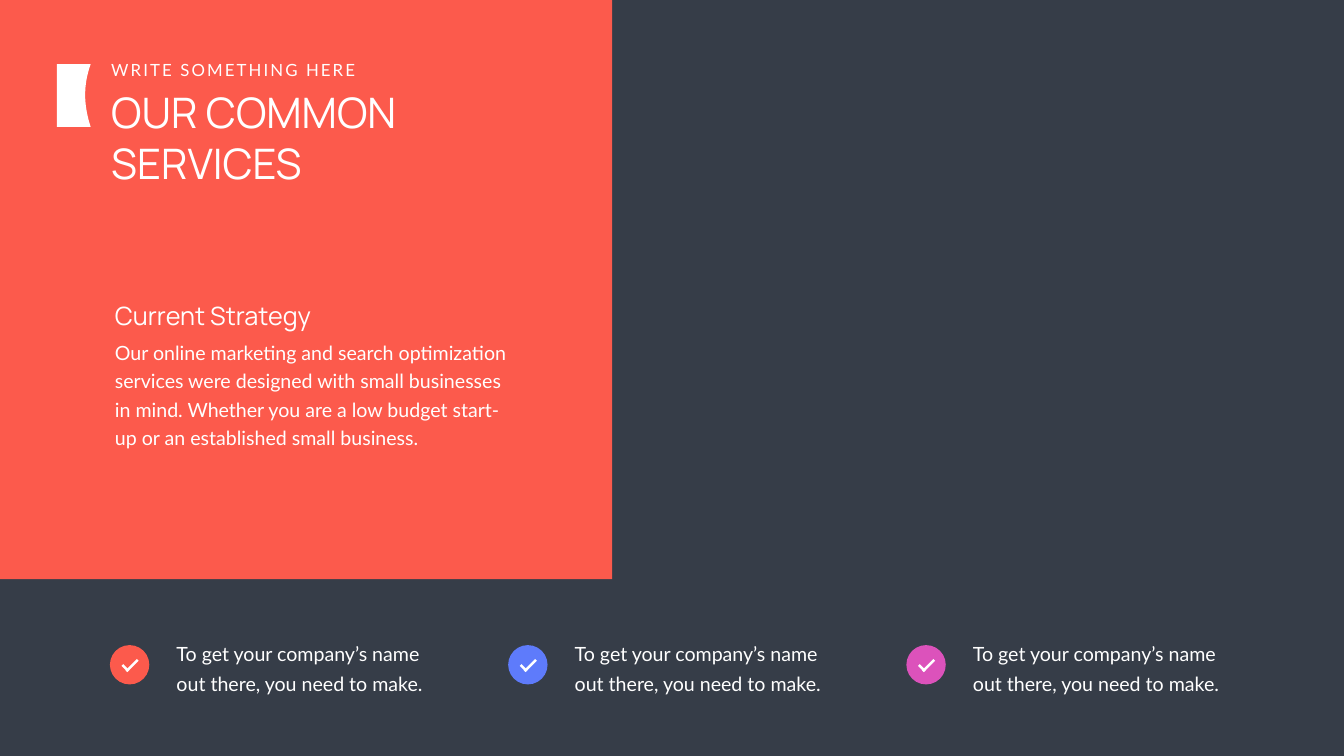
from pptx import Presentation
from pptx.dml.color import RGBColor
from pptx.enum.shapes import MSO_SHAPE
from pptx.enum.text import MSO_AUTO_SIZE
from pptx.util import Inches, Pt

RECT, OVAL = MSO_SHAPE.RECTANGLE, MSO_SHAPE.OVAL
GROW = MSO_AUTO_SIZE.SHAPE_TO_FIT_TEXT
WHITE, CORAL, BLUE, PINK, SLATE = "FFFFFF", "FC5A4C", "5E7BFB", "DC52BB", "363D48"

prs = Presentation()
prs.slide_width, prs.slide_height = Inches(26.66), Inches(15)
# Lengths are percentages of the slide: columns across, rows down
COL, ROW = prs.slide_width / 100, prs.slide_height / 100
s = prs.slides.add_slide(prs.slide_layouts[6])
s.background.fill.solid()
s.background.fill.fore_color.rgb = RGBColor.from_string(SLATE)


def add_block(kind, x, y, w, h, color, rotation=0):
    sp = s.shapes.add_shape(kind, int(x * COL), int(y * ROW), int(w * COL), int(h * ROW))
    sp.shadow.inherit = False
    sp.fill.solid()
    sp.fill.fore_color.rgb = RGBColor.from_string(color)
    sp.line.fill.background()
    sp.rotation = rotation


def add_text(x, y, w, h, text, font, size, wrap=True, leading=None, spacing=0, inset=(0.1, 0.05)):
    sp = s.shapes.add_textbox(int(x * COL), int(y * ROW), int(w * COL), int(h * ROW))
    tf = sp.text_frame
    side, end = Inches(inset[0]), Inches(inset[1])
    frame = {"word_wrap": wrap, "auto_size": GROW, "margin_left": side,
             "margin_right": side, "margin_top": end, "margin_bottom": end}
    for name, value in frame.items():
        setattr(tf, name, value)
    p = tf.paragraphs[0]
    if leading:
        p.line_spacing = Pt(leading)
    r = p.add_run()
    r.text = text
    for name, value in {"name": font, "size": Pt(size)}.items():
        setattr(r.font, name, value)
    r.font.color.rgb = RGBColor.from_string(WHITE)
    if spacing:
        r.font._element.set("spc", str(spacing * 100))


# Coral panel with heading
add_block(RECT, 0, 0, 45.54, 76.6, CORAL)
add_text(7.91, 11.13, 26.59, 14.13, "OUR COMMON SERVICES", "Manrope", 60)
add_text(7.91, 7.53, 19.28, 3.33, "WRITE SOMETHING HERE", "Lato", 24, wrap=False, spacing=3)

# White marker whose right side is a Bezier curve
curve = [(6.75, 8.47), (6.3, 10.73), (6.11, 13.33), (6.75, 16.8)]
points = []
for step in range(21):
    t = step / 20
    weights = [(1 - t) ** 3, 3 * t * (1 - t) ** 2, 3 * t ** 2 * (1 - t), t ** 3]
    points.append((sum(k * x for k, (x, y) in zip(weights, curve)) * COL,
                   sum(k * y for k, (x, y) in zip(weights, curve)) * ROW))
builder = s.shapes.build_freeform(int(4.24 * COL), int(8.47 * ROW))
builder.add_line_segments(points + [(4.24 * COL, 16.8 * ROW)], close=True)
marker = builder.convert_to_shape()
marker.shadow.inherit = False
marker.fill.solid()
marker.fill.fore_color.rgb = RGBColor.from_string(WHITE)
marker.line.fill.background()

# Strategy text
add_text(8.18, 44.07, 30.12, 15.6,
         "Our online marketing and search optimization services were designed with small "
         "businesses in mind. Whether you are a low budget start-up or an established "
         "small business.", "Lato", 28, leading=40.8)
add_text(8.18, 39.33, 16.62, 4.73, "Current Strategy", "Manrope", 36, wrap=False)

# Three checked points
for i, color in enumerate([CORAL, BLUE, PINK]):
    x = 8.18 + i * 29.63
    add_text(x + 4.05, 83.2, 20.33, 9.27,
             "To get your company’s name out there, you need to make.",
             "Lato", 28, leading=43, inset=(0.24, 0.12))
    add_block(OVAL, x, 85.33, 2.93, 5.2, color)
    add_block(RECT, x + 0.83, 88.2, 0.64, 0.33, WHITE, 45)
    add_block(RECT, x + 1.05, 87.87, 1.2, 0.33, WHITE, 315)

prs.save("out.pptx")
